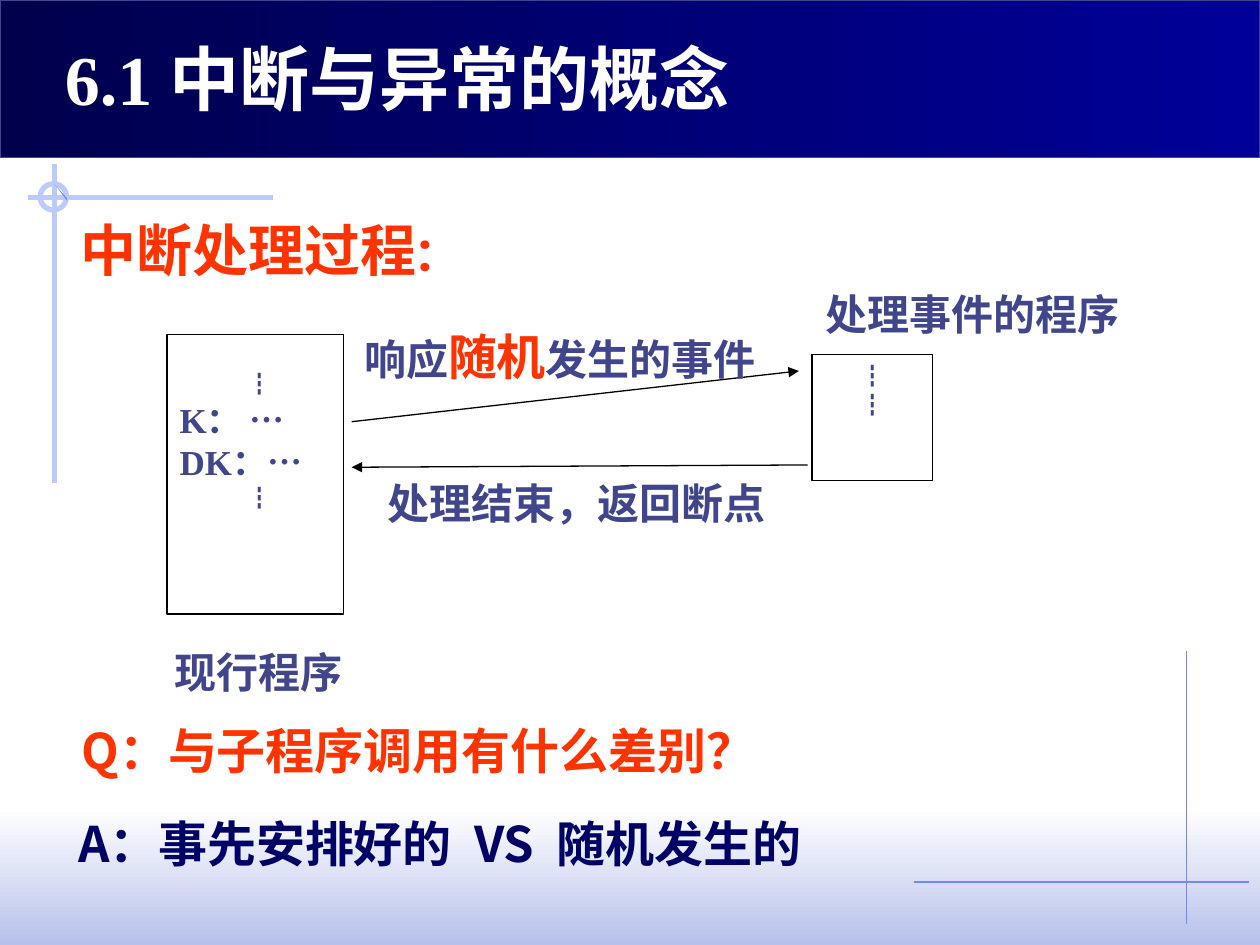
from pptx import Presentation
from pptx.util import Pt
from pptx.dml.color import RGBColor
from pptx.enum import shapes as sh, text as tx
from pptx.oxml import parse_xml
from pptx.oxml.ns import nsdecls

INK, RED, NAVY, PALE, BLUE = "40458C", "FF3300", "000066", "BBCBFD", "6F89F7"
SERIF, SANS, CJK = "Times New Roman", "Roboto", "Noto Sans CJK SC"
MID, LEFT, JUST = tx.PP_ALIGN.CENTER, tx.PP_ALIGN.LEFT, tx.PP_ALIGN.JUSTIFY
DOTS = [("┇", 14, CJK, INK)]

BANDS = [
    ((0, 462, 720, 78), "FFFFFF", "B7C1EB", 270, None),
    ((0, 0, 720, 90), "00004D", "000099", 0, INK),
]
RULES = [
    ((678, 372, 678, 528), BLUE, 0.75),
    ((522, 504, 714, 504), BLUE, 0.75),
    ((156, 113, 16, 113), PALE, 3),
    ((31, 93.5, 31, 276), PALE, 3),
]
ARROWS = [(201, 241, 456.5, 212), (461.5, 265.7, 201, 267)]
BOXES = [
    ((95.5, 191, 101, 160), 20, [
        (MID, 4.6, DOTS),
        (JUST, 0, [("K： …", 20, SERIF, INK)]),
        (JUST, 0, [("DK：…", 20, SERIF, INK)]),
        (MID, 4.6, DOTS),
    ]),
    ((464, 202.5, 69, 72), 3.6, [(MID, 0, DOTS), (MID, 0, DOTS)]),
]
LABELS = [
    ((204, 186, 232, 36), [("响应", 24, SERIF, INK), ("随机", 28, SANS, RED),
                           ("发生的事件", 24, SERIF, INK)]),
    ((218, 272, 223, 38), [("处理结束，返回断点", 24, SERIF, INK)]),
    ((456.5, 164, 198, 36), [("处理事件的程序", 24, SERIF, INK)]),
    ((93.5, 368.5, 108, 40), [("现行程序", 24, SERIF, INK)]),
]
LINES = [
    ((39, 119.5, 218, 45), ("中断处理过程:", 32, SANS, RED)),
    ((39.5, 408, 404, 41), ("Q：与子程序调用有什么差别？", 28, CJK, RED)),
    ((37.5, 461.5, 455, 41), ("A：事先安排好的  VS  随机发生的", 28, CJK, NAVY)),
]
TITLE = ((30, 20, 568, 52), ("6.1 中断与异常的概念", 40, SERIF, "FFFFFF"))

prs = Presentation()
prs.slide_width, prs.slide_height = Pt(720), Pt(540)
slide = prs.slides.add_slide(prs.slide_layouts[6])


def rgb(code):
    return RGBColor.from_string(code)


def edge(line, color, width=0.75):
    line.color.rgb = rgb(color)
    line.width = Pt(width)


def shape(kind, at):
    item = slide.shapes.add_shape(kind, *map(Pt, at))
    item.shadow.inherit = False
    return item


def rule(ends, color, width):
    item = slide.shapes.add_connector(sh.MSO_CONNECTOR.STRAIGHT, *map(Pt, ends))
    edge(item.line, color, width)
    item._element.spPr.append(parse_xml(f"<a:effectLst {nsdecls('a')}/>"))
    return item


def write(frame, paras, pads, wrap=True, anchor=tx.MSO_ANCHOR.TOP):
    frame.word_wrap = wrap
    frame.vertical_anchor = anchor
    frame.margin_left = frame.margin_right = Pt(pads[0])
    frame.margin_top, frame.margin_bottom = Pt(pads[1]), Pt(pads[2])
    for i, (align, indent, runs) in enumerate(paras):
        para = frame.add_paragraph() if i else frame.paragraphs[0]
        para.alignment = align
        if indent:
            para._p.get_or_add_pPr().set("marL", str(Pt(indent)))
        for words, size, face, color in runs:
            run = para.add_run()
            run.text = words
            run.font.size, run.font.name, run.font.bold = Pt(size), face, True
            run.font.color.rgb = rgb(color)


def label(at, align, runs, pads, **opts):
    box = slide.shapes.add_textbox(*map(Pt, at))
    write(box.text_frame, [(align, 0, runs)], pads, **opts)


for at, start, end, angle, rim in BANDS:
    band = shape(sh.MSO_SHAPE.RECTANGLE, at)
    band.fill.gradient()
    band.fill.gradient_angle = angle
    for stop, color, pos in zip(band.fill.gradient_stops, (start, end), (0, 1)):
        stop.color.rgb = rgb(color)
        stop.position = pos
    if rim:
        edge(band.line, rim)
    else:
        band.line.fill.background()

for ends, color, width in RULES:
    rule(ends, color, width)

ring = shape(sh.MSO_SHAPE.OVAL, (23, 105, 15, 15))
ring.fill.background()
edge(ring.line, PALE, 3)
path = slide.shapes.build_freeform(Pt(31), Pt(105))
path.add_line_segments([(Pt(38), Pt(113)), (Pt(38.5), Pt(115))])
chip = path.convert_to_shape()
chip.shadow.inherit = False
chip.fill.solid()
chip.fill.fore_color.rgb = rgb(BLUE)
chip.line.fill.background()

for at, top, paras in BOXES:
    box = shape(sh.MSO_SHAPE.RECTANGLE, at)
    box.fill.solid()
    box.fill.fore_color.rgb = rgb("FFFFFF")
    edge(box.line, "000000")
    write(box.text_frame, paras, (7.2, top, 3.6))

for ends in ARROWS:
    arrow = rule(ends, "000000", 0.75)
    arrow.line._get_or_add_ln().append(
        parse_xml(f'<a:tailEnd {nsdecls("a")} type="triangle"/>'))

for at, runs in LABELS:
    label(at, MID, runs, (1.5, 0.7, 0.7))
for at, run in LINES:
    label(at, LEFT, [run], (7.2, 3.6, 3.6), wrap=False)
label(TITLE[0], LEFT, [TITLE[1]], (7.2, 3.6, 3.6), anchor=tx.MSO_ANCHOR.BOTTOM)

prs.save("out.pptx")
